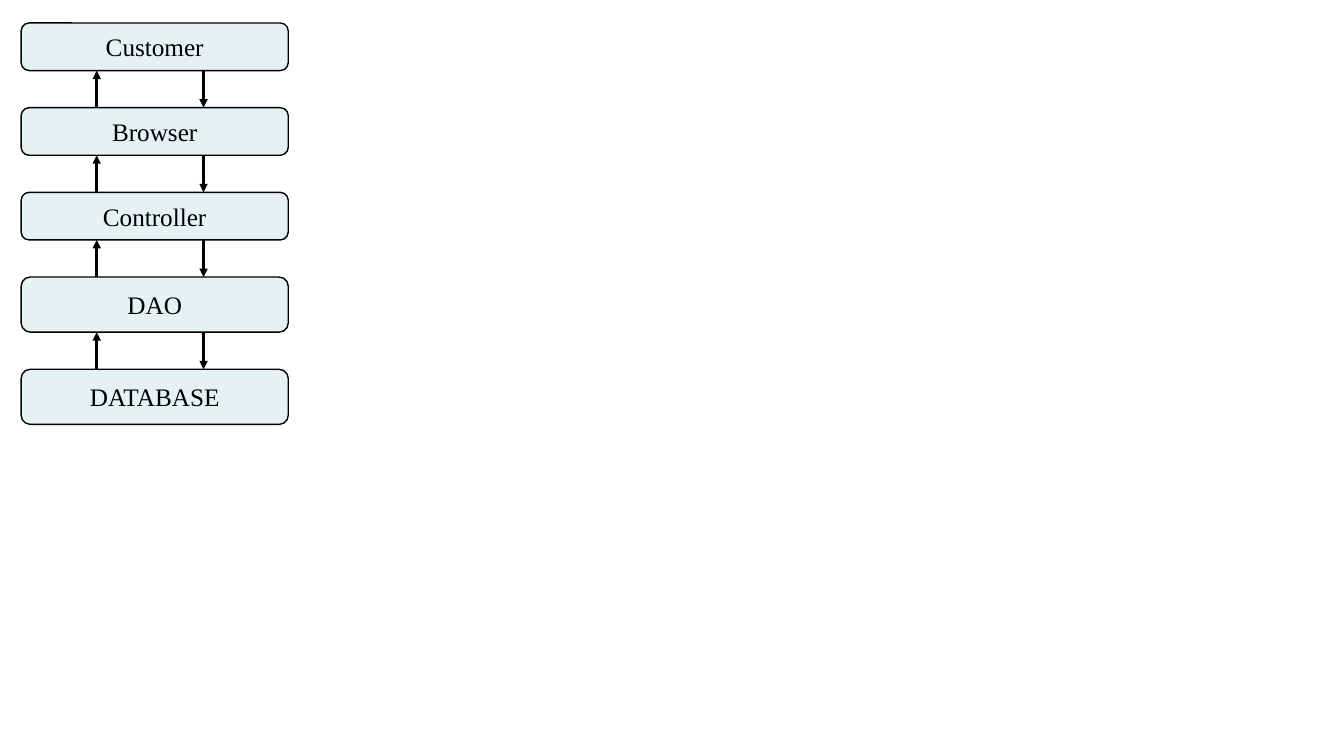
from itertools import pairwise

from lxml.etree import SubElement
from pptx import Presentation
from pptx.dml.color import RGBColor
from pptx.enum.shapes import MSO_CONNECTOR, MSO_SHAPE
from pptx.enum.text import MSO_ANCHOR, PP_ALIGN
from pptx.oxml.ns import qn
from pptx.util import Pt

LAYERS = [  # name, box height
    ("Customer", 34),
    ("Browser", 34),
    ("Controller", 34),
    ("DAO", 39.4),
    ("DATABASE", 39.4),
]
COLORS = {"box": "E6F1F3", "ink": "000000"}
FONT = {"name": "Times New Roman", "size": Pt(18)}
LEFT, TOP, WIDTH, GAP = 15.1, 16.4, 190.8, 26.5
UP_X, DOWN_X = 69.1, 145.4


def color(key):
    """Return a named colour."""
    return RGBColor.from_string(COLORS[key])


def style_line(line, width):
    """Give a line the ink colour and a width in points."""
    line.color.rgb = color("ink")
    line.width = Pt(width)


def add_layer(s, name, top, height):
    """Draw one rounded box with its centred name."""
    sp = s.shapes.add_shape(MSO_SHAPE.ROUNDED_RECTANGLE, Pt(LEFT), Pt(top),
                            Pt(WIDTH), Pt(height))
    sp.shadow.inherit = False
    sp.fill.solid()
    sp.fill.fore_color.rgb = color("box")
    style_line(sp.line, 1)
    tf = sp.text_frame
    tf.vertical_anchor = MSO_ANCHOR.MIDDLE
    p = tf.paragraphs[0]
    p.alignment = PP_ALIGN.CENTER
    r = p.add_run()
    r.text = name
    for key, value in FONT.items():
        setattr(r.font, key, value)
    r.font.color.rgb = color("ink")


def add_arrow(s, x, start, end):
    """Draw a vertical arrow pointing at end."""
    cx = s.shapes.add_connector(MSO_CONNECTOR.STRAIGHT, Pt(x), Pt(start),
                                Pt(x), Pt(end))
    style_line(cx.line, 2)
    SubElement(cx.line._get_or_add_ln(), qn("a:tailEnd"), type="triangle")
    SubElement(cx._element.spPr, qn("a:effectLst"))


prs = Presentation()
prs.slide_width, prs.slide_height = Pt(960), Pt(540)
s = prs.slides.add_slide(prs.slide_layouts[6])

spans = []
top = TOP
for name, height in LAYERS:
    add_layer(s, name, top, height)
    spans.append((top, top + height))
    top += height + GAP

for (_, upper), (lower, _) in pairwise(spans):
    add_arrow(s, UP_X, lower, upper)
    add_arrow(s, DOWN_X, upper, lower)

prs.save("out.pptx")
